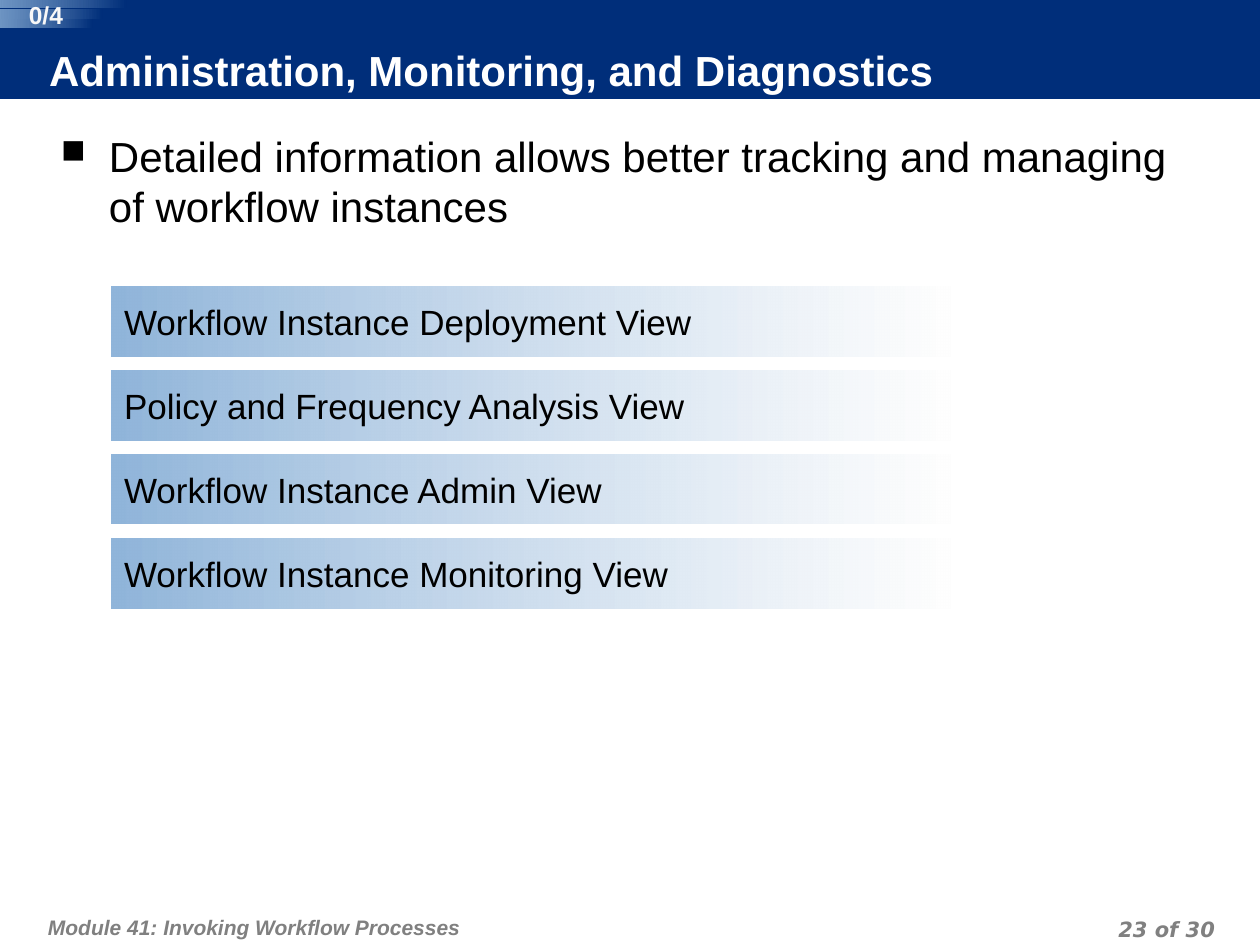
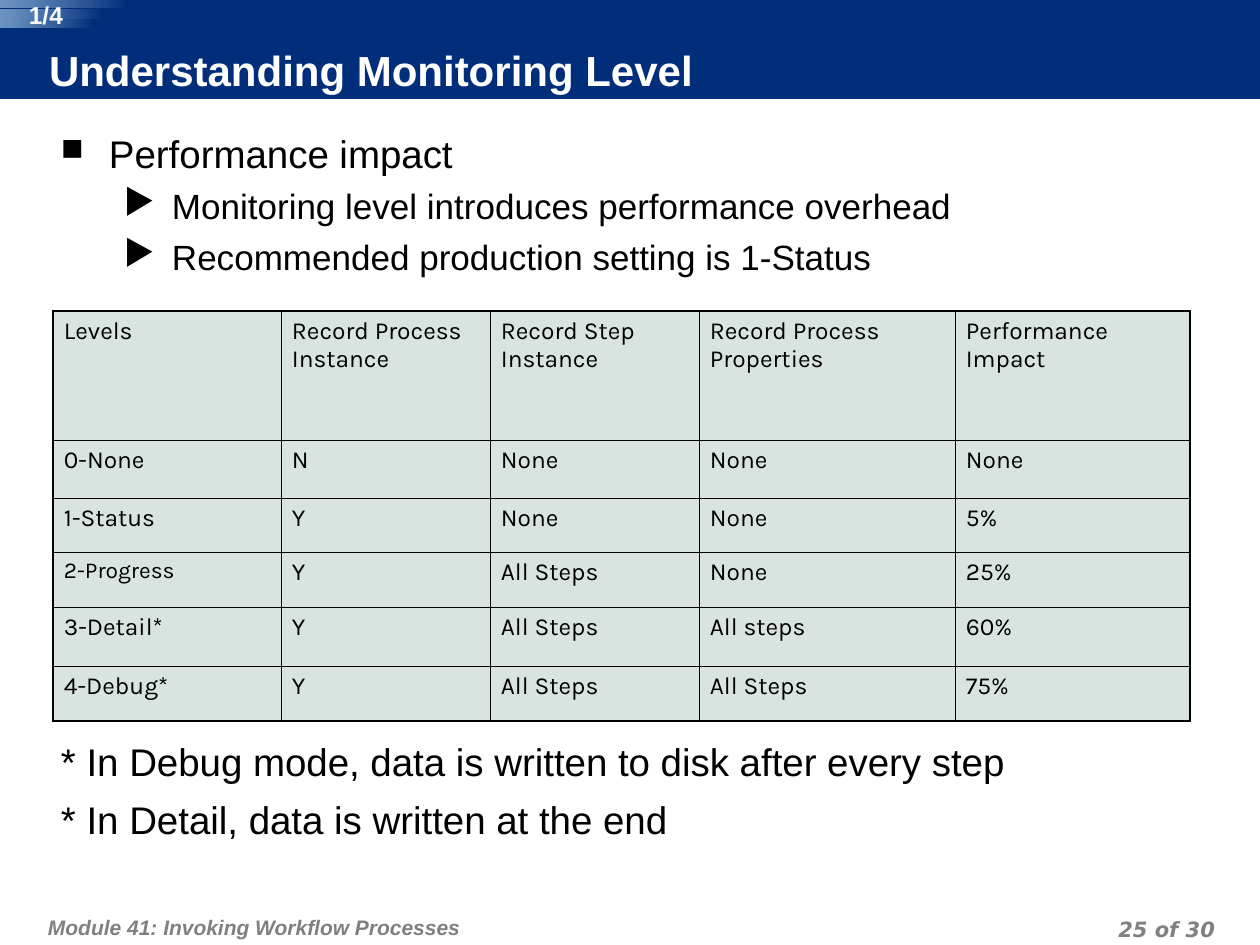
from pptx import Presentation
from pptx.dml.color import RGBColor
from pptx.enum.shapes import MSO_SHAPE as Preset
from pptx.enum.text import MSO_ANCHOR as Anchor, MSO_AUTO_SIZE as AutoSize, PP_ALIGN as Align
from pptx.oxml.ns import qn
from pptx.util import Emu, Pt
from lxml.etree import SubElement

PX_PER_INCH = 126
NAVY, SKY, PALE, SAGE = "002E7A", "90B5DA", "FEFEFE", "D9E3E0"
BLACK, WHITE, GREY, COUNTER_WHITE = "000000", "FFFFFF", "808080", "F8F8F8"
BULLETS = {"■": (48, 80), "▶": (111, 100)}
HANGING = 48


def px(length):
    return Emu(round(length * 914400 / PX_PER_INCH))


def rgb(value):
    return RGBColor.from_string(value)


class ModuleDeck:
    font = "Arial"
    footer_font = "DejaVu Sans"
    table_font = "Karla"
    module = "Module 41: Invoking Workflow Processes"
    page_total = 30
    step_total = 4

    def __init__(self):
        self.deck = Presentation()
        self.deck.slide_width, self.deck.slide_height = px(1260), px(945)
        self.page = None

    def add_page(self, title, number, step):
        self.page = self.deck.slides.add_slide(self.deck.slide_layouts[5])
        self.shape(Preset.RECTANGLE, 0, 0, 1260, 99, NAVY)
        self.title(title)
        footer = dict(size=12, color=GREY, bold=True, italic=True, spacing=18)
        self.text(42, 895, 779, 50, (6, 13, 6, 6), [self.module], **footer)
        self.text(927, 910, 294, 32, (6, 0, 6, 0), [f"{number} of {self.page_total}"],
                  font=self.footer_font, align=Align.RIGHT, **footer)
        for row, width in enumerate((127, 103, 92)):
            self.gradient_bar(0, 10 * row, width, 8, (NAVY, 100), (SKY, 76))
        self.text(14, 0, 64, 29, (0, 0, 0, 0), [f"{step}/{self.step_total}"],
                  size=14, color=COUNTER_WHITE, bold=True, align=Align.CENTER)

    def title(self, words):
        title = self.page.shapes.title
        self.page.shapes.element.append(title.element)
        title.left, title.top, title.width, title.height = map(px, (49, 48, 1155, 50))
        title.fill.solid()
        title.fill.fore_color.rgb = rgb(NAVY)
        self.frame(title, (0, 0, 6, 6), Anchor.MIDDLE)
        self.span(title.text_frame.paragraphs[0], words, 24, WHITE, bold=True)

    def shape(self, preset, left, top, width, height, color):
        shape = self.page.shapes.add_shape(preset, *map(px, (left, top, width, height)))
        shape.shadow.inherit = False
        shape.line.fill.background()
        if color:
            shape.fill.solid()
            shape.fill.fore_color.rgb = rgb(color)
        return shape

    def gradient_bar(self, left, top, width, height, right_end, left_end):
        bar = self.shape(Preset.ROUNDED_RECTANGLE, left, top, width, height, None)
        bar.adjustments[0] = 0
        bar.fill.gradient()
        bar.fill.gradient_angle = 180
        ends = (right_end, left_end)
        for stop, (color, _) in zip(bar.fill.gradient_stops, ends):
            stop.color.rgb = rgb(color)
        for node, (_, opacity) in zip(bar.element.spPr.iter(qn("a:srgbClr")), ends):
            if opacity < 100:
                SubElement(node, qn("a:alpha"), val=str(opacity * 1000))
        return bar

    def view_bar(self, top, words):
        bar = self.gradient_bar(111, top, 839, 69, (PALE, 75), (SKY, 100))
        self.frame(bar, (13, 13, 13, 6))
        self.span(bar.text_frame.paragraphs[0], words, 20, BLACK)

    def frame(self, box, insets, anchor=Anchor.TOP):
        frame = box.text_frame
        frame.word_wrap = True
        frame.auto_size = AutoSize.NONE
        frame.vertical_anchor = anchor
        (frame.margin_left, frame.margin_top,
         frame.margin_right, frame.margin_bottom) = map(px, insets)

    def text(self, left, top, width, height, insets, lines, size, color=BLACK,
             spacing=None, before=0, **style):
        box = self.page.shapes.add_textbox(*map(px, (left, top, width, height)))
        self.frame(box, insets)
        for index, words in enumerate(lines):
            para = box.text_frame.add_paragraph() if index else box.text_frame.paragraphs[0]
            if index:
                para.space_before = Pt(before)
            if spacing:
                para.line_spacing = Pt(spacing)
            self.span(para, words, size, color, **style)
        return box

    def bullet_list(self, items):
        box = self.text(48, 117, 1172, 180, (13, 13, 13, 6), [], 24)
        for index, (mark, words, size) in enumerate(items):
            para = box.text_frame.add_paragraph() if index else box.text_frame.paragraphs[0]
            if index:
                para.space_before = Pt(size / 4)
            self.bullet(para, mark)
            self.span(para, words, size, BLACK)

    def bullet(self, para, mark):
        margin, percent = BULLETS[mark]
        para.level = list(BULLETS).index(mark)
        properties = para._p.get_or_add_pPr()
        properties.set("marL", str(px(margin)))
        properties.set("indent", str(px(-HANGING)))
        color = SubElement(properties, qn("a:buClr"))
        SubElement(color, qn("a:srgbClr"), val=BLACK)
        SubElement(properties, qn("a:buSzPct"), val=str(percent * 1000))
        SubElement(properties, qn("a:buChar"), char=mark)

    def span(self, para, words, size, color, font=None, bold=False, italic=False,
             align=Align.LEFT):
        para.alignment = align
        span = para.add_run()
        span.text = words
        span.font.name = font or self.font
        span.font.size = Pt(size)
        span.font.bold = bold
        span.font.italic = italic
        span.font.color.rgb = rgb(color)

    def table(self, left, top, widths, heights, rows, sizes):
        table = self.page.shapes.add_table(
            len(rows), len(widths), *map(px, (left, top, sum(widths), sum(heights)))).table
        table.first_row = table.horz_banding = False
        for column, width in zip(table.columns, widths):
            column.width = px(width)
        for row, height in zip(table.rows, heights):
            row.height = px(height)
        for r, row in enumerate(rows):
            for c, words in enumerate(row):
                cell = table.cell(r, c)
                outer = {"L": c == 0, "R": c == len(widths) - 1,
                         "T": r == 0, "B": r == len(rows) - 1}
                self.borders(cell, outer)
                cell.fill.solid()
                cell.fill.fore_color.rgb = rgb(SAGE)
                cell.margin_left = cell.margin_right = px(11)
                cell.margin_top = cell.margin_bottom = px(6)
                self.span(cell.text_frame.paragraphs[0], words, sizes.get(words, 14),
                          BLACK, font=self.table_font)

    def borders(self, cell, outer):
        properties = cell._tc.get_or_add_tcPr()
        for side, is_outer in outer.items():
            width = Pt(1.08 if is_outer else 0.45)
            line = SubElement(properties, qn(f"a:ln{side}"), w=str(width))
            SubElement(SubElement(line, qn("a:solidFill")), qn("a:srgbClr"), val=BLACK)


def add_views_page(module):
    module.add_page("Administration, Monitoring, and Diagnostics", 23, 0)
    module.bullet_list([("■", "Detailed information allows better tracking and managing "
                              "of workflow instances", 24)])
    views = ("Workflow Instance Deployment View", "Policy and Frequency Analysis View",
             "Workflow Instance Admin View", "Workflow Instance Monitoring View")
    for index, view in enumerate(views):
        module.view_bar(287 + 84 * index, view)


def add_levels_page(module):
    module.add_page("Understanding Monitoring Level", 25, 1)
    module.bullet_list([
        ("■", "Performance impact", 22),
        ("▶", "Monitoring level introduces performance overhead", 20),
        ("▶", "Recommended production setting is 1-Status", 20),
    ])
    levels = [
        ("Levels", "Record Process Instance", "Record Step Instance",
         "Record Process Properties", "Performance Impact"),
        ("0-None", "N", "None", "None", "None"),
        ("1-Status", "Y", "None", "None", "5%"),
        ("2-Progress", "Y", "All Steps", "None", "25%"),
        ("3-Detail*", "Y", "All Steps", "All steps", "60%"),
        ("4-Debug*", "Y", "All Steps", "All Steps", "75%"),
    ]
    module.table(53, 311, (228, 209, 209, 256, 235), (129, 58, 54, 55, 59, 55),
                 levels, {"2-Progress": 13})
    module.text(48, 725, 1172, 130, (13, 13, 13, 6),
                ["* In Debug mode, data is written to disk after every step",
                 "* In Detail, data is written at the end"], size=22, before=6.5)


def main():
    module = ModuleDeck()
    add_views_page(module)
    add_levels_page(module)
    module.deck.save("out.pptx")


if __name__ == "__main__":
    main()
